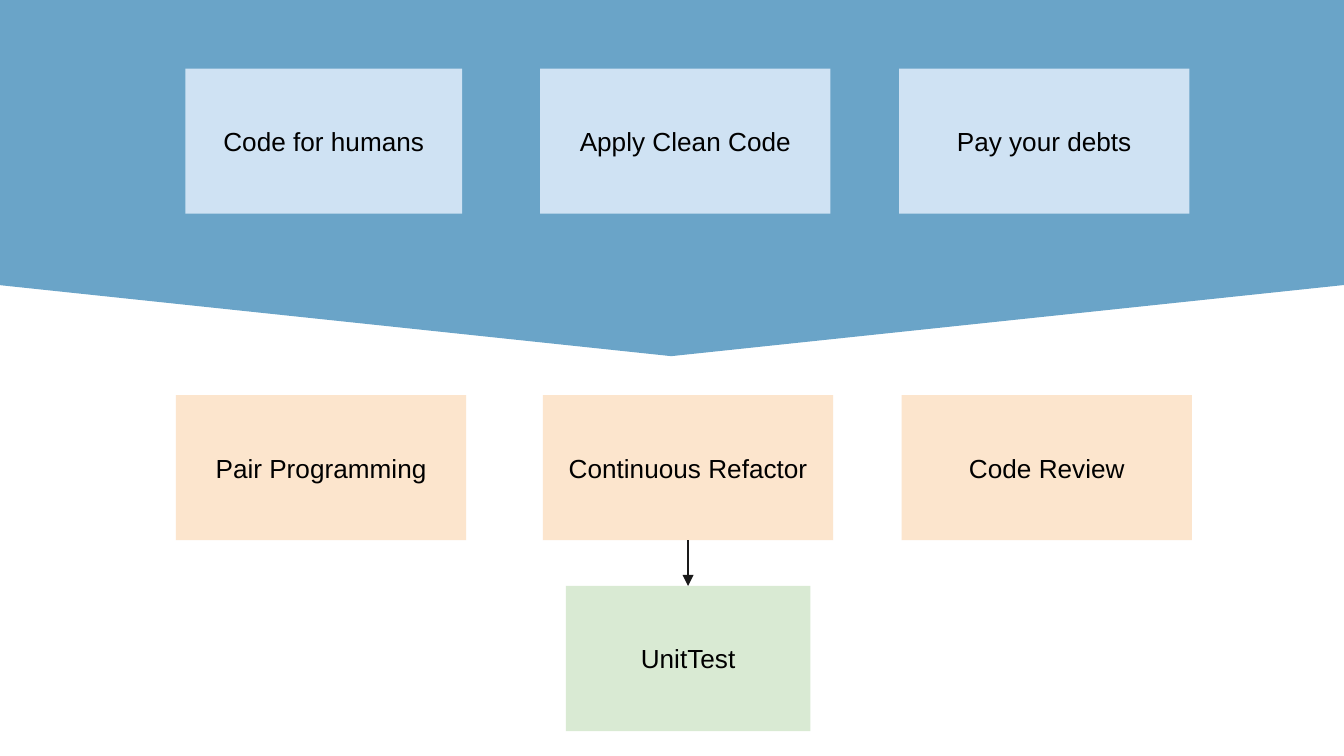
from lxml.etree import SubElement
from pptx import Presentation
from pptx.dml.color import RGBColor
from pptx.enum.shapes import MSO_CONNECTOR, MSO_SHAPE
from pptx.enum.text import MSO_ANCHOR, PP_ALIGN
from pptx.oxml.ns import qn
from pptx.util import Inches, Pt

COLORS = {
    "banner": "6AA4C8",
    "principle": "CFE2F3",
    "practice": "FCE5CD",
    "test": "D9EAD3",
    "text": "000000",
    "arrow": "1A1A1A",
}
BOX_HEIGHT = 1.08
BOX_WIDTH = 2.16
PRINCIPLES_TOP = 0.51
PRACTICES_TOP = 2.94
BOTTOM, TOP = 2, 0


class SlideBuilder:
    font_name = "Arial"
    font_size = Pt(14)
    margin = Inches(0.1)

    def __init__(self, slide):
        self.slide = slide

    def color(self, name):
        return RGBColor.from_string(COLORS[name])

    def shape(self, kind, left, top, width, height, fill):
        shape = self.slide.shapes.add_shape(
            kind, Inches(left), Inches(top), Inches(width), Inches(height)
        )
        shape.shadow.inherit = False
        shape.fill.solid()
        shape.fill.fore_color.rgb = self.color(fill)
        shape.line.fill.background()
        return shape

    def box(self, text, left, top, fill, width=BOX_WIDTH):
        shape = self.shape(MSO_SHAPE.RECTANGLE, left, top, width, BOX_HEIGHT, fill)
        frame = shape.text_frame
        frame.word_wrap = True
        frame.vertical_anchor = MSO_ANCHOR.MIDDLE
        frame.margin_left = frame.margin_right = self.margin
        frame.margin_top = frame.margin_bottom = self.margin
        paragraph = frame.paragraphs[0]
        paragraph.text = text
        paragraph.alignment = PP_ALIGN.CENTER
        paragraph.font.name = self.font_name
        paragraph.font.size = self.font_size
        paragraph.font.color.rgb = self.color("text")
        return shape

    def arrow_down(self, upper, lower):
        connector = self.slide.shapes.add_connector(MSO_CONNECTOR.STRAIGHT, 0, 0, 0, 0)
        connector.begin_connect(upper, BOTTOM)
        connector.end_connect(lower, TOP)
        connector.line.color.rgb = self.color("arrow")
        connector.line.width = Pt(1.5)
        SubElement(connector.line._get_or_add_ln(), qn("a:tailEnd"), type="triangle")
        SubElement(connector._element.spPr, qn("a:effectLst"))


def main():
    presentation = Presentation()
    presentation.slide_width = Inches(10)
    presentation.slide_height = presentation.slide_width * 9 // 16
    slide = presentation.slides.add_slide(presentation.slide_layouts[6])
    builder = SlideBuilder(slide)

    builder.shape(
        MSO_SHAPE.FLOWCHART_OFFPAGE_CONNECTOR, -0.02, 0, 10.03, 2.65, "banner"
    )

    for text, left, width in (
        ("Code for humans", 1.38, 2.06),
        ("Apply Clean Code", 4.02, BOX_WIDTH),
        ("Pay your debts", 6.69, BOX_WIDTH),
    ):
        builder.box(text, left, PRINCIPLES_TOP, "principle", width)

    refactor = builder.box("Continuous Refactor", 4.04, PRACTICES_TOP, "practice")
    unit_test = builder.box("UnitTest", 4.21, 4.36, "test", 1.82)
    builder.box("Code Review", 6.71, PRACTICES_TOP, "practice")
    builder.box("Pair Programming", 1.31, PRACTICES_TOP, "practice")
    builder.arrow_down(refactor, unit_test)

    presentation.save("out.pptx")


if __name__ == "__main__":
    main()
